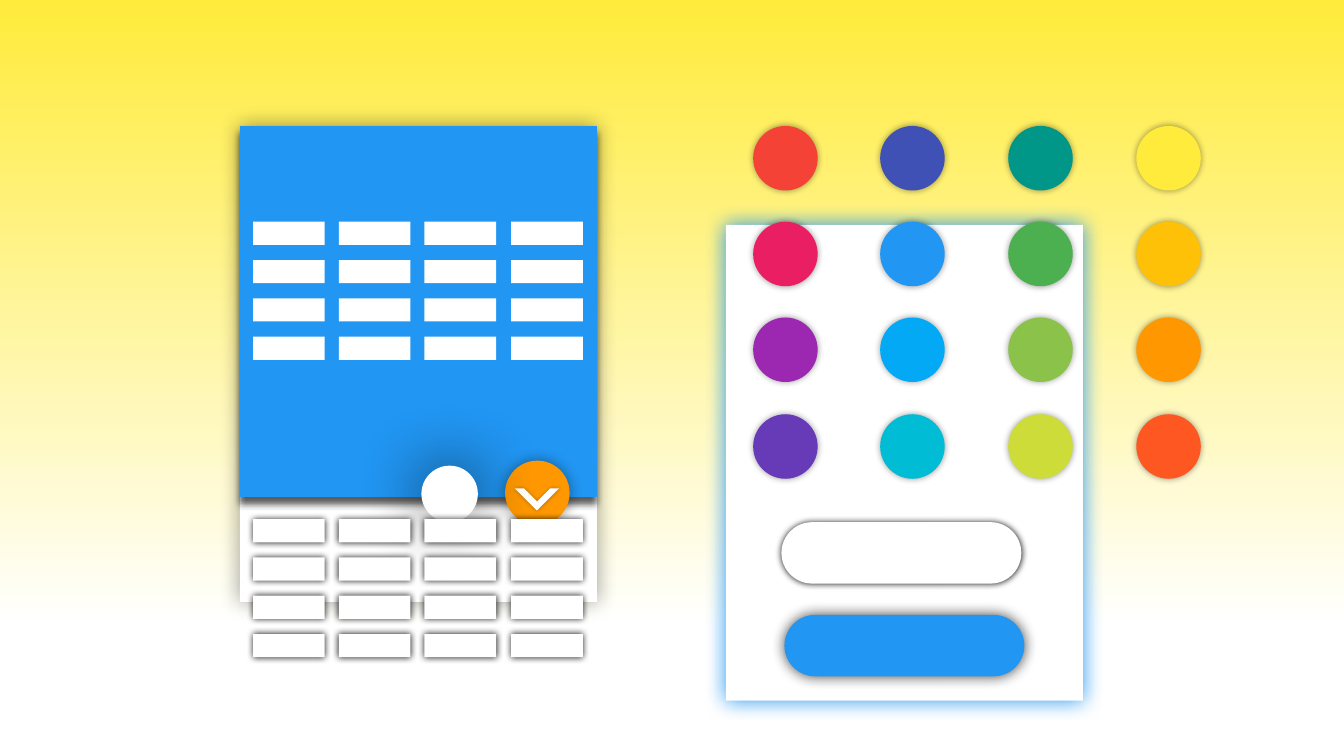
from itertools import product

from lxml.etree import SubElement
from pptx import Presentation
from pptx.dml.color import RGBColor
from pptx.enum.shapes import MSO_SHAPE as SHAPE
from pptx.oxml.ns import qn
from pptx.util import Pt

PX = 9144
WHITE, BLACK, BLUE, ORANGE = "FFFFFF", "000000", "2196F3", "FF9800"
PALETTE = (
    ("F44336", "E91E63", "9C27B0", "673AB7"),
    ("3F51B5", BLUE, "03A9F4", "00BCD4"),
    ("009688", "4CAF50", "8BC34A", "CDDC39"),
    ("FFEB3B", "FFC107", ORANGE, "FF5722"),
)


def px(length):
    """Turn whole pixels into EMU."""
    return length * PX


def color(hex_value):
    """Turn a hex string into a colour."""
    return RGBColor.from_string(hex_value)


def add_color(parent, hex_value, opacity):
    """Append a colour element with an opacity in percent."""
    element = SubElement(parent, qn("a:srgbClr"), val=hex_value)
    if opacity < 100:
        SubElement(element, qn("a:alpha"), val=str(opacity * 1000))


def add_shadow(shape, hex_value, opacity, blur, distance=0, angle=0):
    """Give a shape an outer shadow, measured in points and degrees."""
    effects = shape.element.spPr.find(qn("a:effectLst"))
    values = {"blurRad": Pt(blur), "dist": Pt(distance), "dir": angle * 60000,
              "algn": "ctr", "rotWithShape": 0}
    outer = SubElement(effects, qn("a:outerShdw"),
                       {name: str(value) for name, value in values.items()})
    add_color(outer, hex_value, opacity)


def add_part(shapes, kind, box, fill, shadow=None, adjustments=(), rotation=0):
    """Add a borderless filled shape in a pixel box."""
    shape = shapes.add_shape(kind, *map(px, box))
    shape.fill.solid()
    shape.fill.fore_color.rgb = color(fill)
    shape.line.fill.background()
    shape.shadow.inherit = False
    shape.rotation = rotation
    for index, value in enumerate(adjustments):
        shape.adjustments[index] = value
    if shadow:
        add_shadow(shape, *shadow)
    return shape


def paint_background(slide):
    """Fade the background from yellow down to white."""
    fill = slide.background.fill
    fill.gradient()
    fill.gradient_angle = 270
    stops = next(slide.element.iter(qn("a:gsLst")))
    for stop in list(stops):
        stops.remove(stop)
    for position, hex_value, opacity in ((0, "FFEB3B", 65), (83, WHITE, 100), (100, WHITE, 100)):
        stop = SubElement(stops, qn("a:gs"), pos=str(position * 1000))
        add_color(stop, hex_value, opacity)


def add_card(shapes, box, fill, shadow):
    """Add a square-cornered card."""
    add_part(shapes, SHAPE.ROUNDED_RECTANGLE, box, fill, shadow, [0])


def add_palette(shapes, left, top, width, height):
    """Spread the colour dots over a box, column by column."""
    size = 64
    for column, row in product(range(4), repeat=2):
        box = (left + (width - size) * column // 3, top + (height - size) * row // 3, size, size)
        add_part(shapes, SHAPE.OVAL, box, PALETTE[column][row], (BLACK, 40, 5))


def add_round_buttons(shapes, left, top):
    """Add the orange chevron button and the white button."""
    add_part(shapes, SHAPE.OVAL, (left + 83, top, 64, 64), ORANGE, (BLACK, 40, 10))
    add_part(shapes, SHAPE.HALF_FRAME, (left + 99, top + 12, 31, 31), WHITE,
             (BLACK, 30, 3), (0.21, 0.2), 225)
    add_part(shapes, SHAPE.OVAL, (left, top + 5, 56, 56), WHITE, (BLACK, 70, 50))


def add_keypad(shapes, left, top, width, height, shadow=None):
    """Group a four by four grid of keys that fills a box."""
    key_width, key_height = 71, 23
    keys = shapes.add_group_shape().shapes
    for row, column in product(range(4), repeat=2):
        box = (left + (width - key_width) * column // 3,
               top + (height - key_height) * row // 3, key_width, key_height)
        add_card(keys, box, WHITE, shadow)


def add_pills(shapes, left, top):
    """Add the blue and white pill buttons."""
    for x, y, fill, shadow in ((3, 92, BLUE, (BLACK, 70, 10)), (0, 0, WHITE, (BLACK, 90, 5))):
        add_part(shapes, SHAPE.ROUNDED_RECTANGLE, (left + x, top + y, 238, 61), fill, shadow, [0.5])


def main():
    """Build the slide and save it."""
    presentation = Presentation()
    presentation.slide_width, presentation.slide_height = px(1333), px(750)
    slide = presentation.slides.add_slide(presentation.slide_layouts[6])
    shapes = slide.shapes
    paint_background(slide)
    add_card(shapes, (720, 223, 354, 472), WHITE, (BLUE, 100, 15))
    add_card(shapes, (238, 125, 354, 472), WHITE, (BLACK, 40, 15))
    add_card(shapes, (238, 125, 354, 368), BLUE, ("181717", 70, 5, 5, 90))
    add_palette(shapes, 747, 125, 444, 350)
    add_round_buttons(shapes, 418, 457)
    add_keypad(shapes, 251, 220, 327, 137)
    add_keypad(shapes, 251, 515, 327, 137, (BLACK, 90, 5))
    add_pills(shapes, 775, 518)
    presentation.save("out.pptx")


if __name__ == "__main__":
    main()
